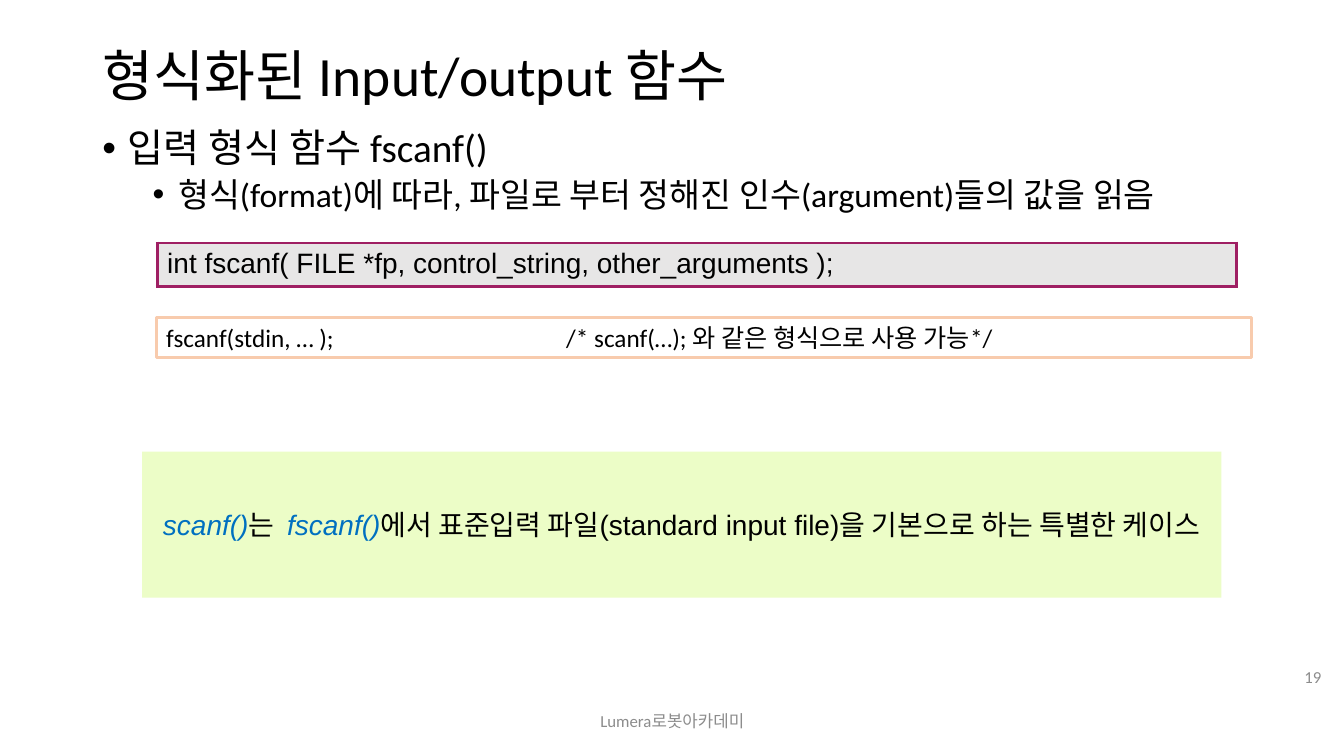
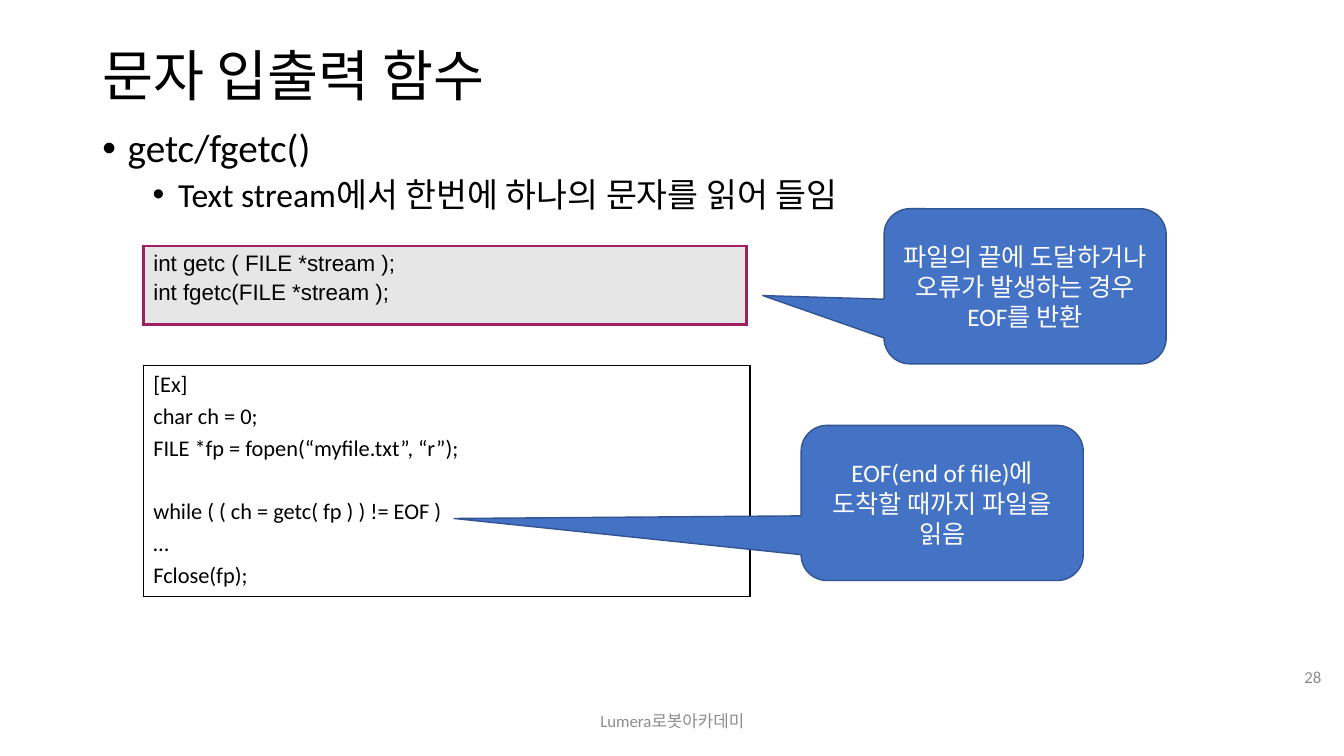
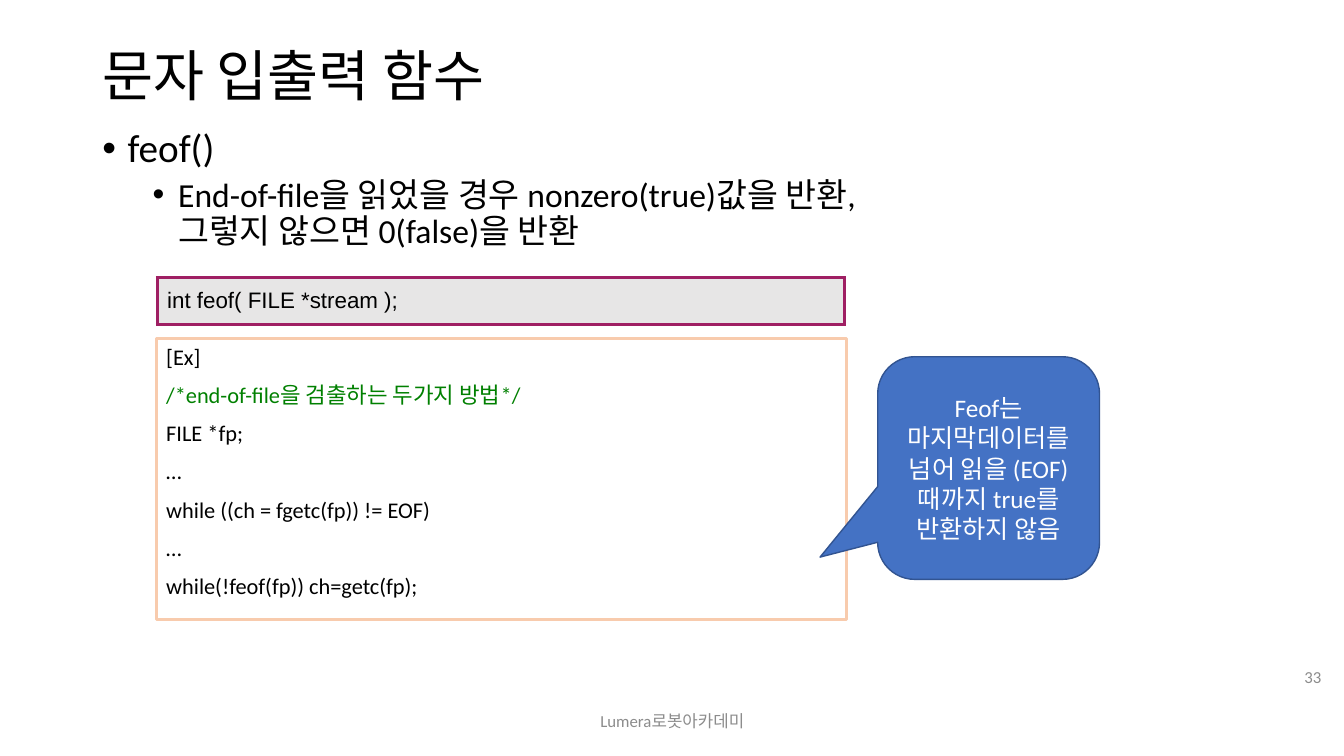
from lxml.etree import SubElement as Sub
from pptx import Presentation
from pptx.dml.color import RGBColor as RGB
from pptx.enum.shapes import MSO_SHAPE as SHAPE
from pptx.enum.text import MSO_ANCHOR as ANCHOR, MSO_AUTO_SIZE as AUTO, PP_ALIGN as ALIGN
from pptx.oxml.ns import qn
from pptx.util import Cm, Pt

INK = {
    "black": "000000", "grey": "8C8C8C", "white": "FFFFFF", "plum": "9F1F63",
    "ash": "E7E6E6", "peach": "F8CBAD", "lime": "ECFDC7", "link": "0070C0",
    "green": "008000", "blue": "4472C4", "navy": "325491",
}
FOOT = "Lumera로봇아카데미"


def add_para(frame, runs, size, ink="black", font="Calibri", align=ALIGN.LEFT, gap=0):
    """Add one paragraph; a run is a text or (text, colour, italic)."""
    par = frame.paragraphs[0]
    if par.runs:
        par = frame.add_paragraph()
    par.alignment = align
    par.space_before = Pt(gap)
    for item in [runs] if isinstance(runs, str) else runs:
        text, tint, slant = (item, ink, False) if isinstance(item, str) else item
        if text == "\n":
            par.add_line_break()
            continue
        run = par.add_run()
        run.text = text
        run.font.size = Pt(size)
        run.font.name = font
        run.font.italic = slant
        run.font.color.rgb = RGB.from_string(INK[tint])
    return par


def add_cell(slide, place, fill, edge, width):
    """Add a one-cell table with a border and return its cell."""
    table = slide.shapes.add_table(1, 1, *map(Cm, place)).table
    table.first_row = table.horz_banding = False
    cell = table.cell(0, 0)
    if fill:
        cell.fill.solid()
        cell.fill.fore_color.rgb = RGB.from_string(INK[fill])
    else:
        cell.fill.background()
    props = cell._tc.get_or_add_tcPr()
    for spot, side in enumerate(("lnL", "lnR", "lnT", "lnB")):
        line = props.makeelement(qn(f"a:{side}"), {"w": str(Pt(width))})
        Sub(Sub(line, qn("a:solidFill")), qn("a:srgbClr"), val=INK[edge])
        props.insert(spot, line)
    return cell


deck = Presentation()
deck.slide_width, deck.slide_height = Cm(33.87), Cm(19.05)

# Title, bullets, footer and page number
pages = [
    ("형식화된 Input/output 함수", "입력 형식 함수 fscanf()",
     "형식(format)에 따라, 파일로 부터 정해진 인수(argument)들의 값을 읽음", "19"),
    ("문자 입출력 함수", "getc/fgetc()",
     "Text stream에서 한번에 하나의 문자를 읽어 들임", "28"),
    ("문자 입출력 함수", "feof()",
     ["End-of-file을 읽었을 경우 nonzero(true)값을 반환,", "\n",
      "그렇지 않으면 0(false)을 반환"], "33"),
]
slides = []
for name, head, note, num in pages:
    slide = deck.slides.add_slide(deck.slide_layouts[5])
    slides.append(slide)
    title = slide.shapes.title
    title.left, title.top, title.width, title.height = map(Cm, (2.33, 1.02, 29.21, 1.9))
    title.text_frame.auto_size = AUTO.NONE
    title.text_frame.vertical_anchor = ANCHOR.MIDDLE
    add_para(title.text_frame, name, 39.6).line_spacing = 0.9

    body = slide.shapes.add_textbox(*map(Cm, (2.33, 3.12, 29.21, 14.05))).text_frame
    body.word_wrap = True
    for level, (text, size, gap, left) in enumerate([(head, 28, 10, 0.64), (note, 24, 5, 1.91)]):
        par = add_para(body, text, size, gap=gap)
        par.level = level
        par.line_spacing = 0.9
        props = par._p.get_or_add_pPr()
        props.set("marL", str(Cm(left)))
        props.set("indent", str(Cm(-0.64)))
        Sub(props, qn("a:buFont"), typeface="Arial")
        Sub(props, qn("a:buChar"), char="•")

    for text, place, align in [(FOOT, (11.23, 17.65, 11.43, 1.02), ALIGN.CENTER),
                               (num, (31.98, 16.54, 1.57, 1.02), ALIGN.RIGHT)]:
        frame = slide.shapes.add_textbox(*map(Cm, place)).text_frame
        frame.word_wrap = True
        frame.vertical_anchor = ANCHOR.MIDDLE
        add_para(frame, text, 12, "grey", align=align)
scan, getc, feof = slides

# Function prototypes
protos = [
    (scan, (3.96, 6.12, 27.2, 1.09), 20, ANCHOR.TOP,
     ["int fscanf( FILE *fp, control_string, other_arguments );"]),
    (getc, (3.61, 6.2, 15.21, 1.98), 16, ANCHOR.TOP,
     ["int getc ( FILE *stream );", "int fgetc(FILE *stream );"]),
    (feof, (3.96, 6.99, 17.32, 1.19), 16, ANCHOR.MIDDLE, ["int feof( FILE *stream );"]),
]
for slide, place, size, anchor, lines in protos:
    cell = add_cell(slide, place, "ash", "plum", 2.25)
    cell.vertical_anchor = anchor
    for text in lines:
        add_para(cell.text_frame, text, size, font="Arial", gap=size * 0.2)

# Example of getc
cell = add_cell(getc, (3.61, 9.22, 15.29, 5.82), None, "black", 1)
for text, gap in [("[Ex]", 3.2), ("char ch = 0;", 3.2),
                  ("FILE *fp = fopen(“myfile.txt”, “r”);", 3.2),
                  ("while ( ( ch = getc( fp ) ) != EOF )", 25.7),
                  ("…", 3.2), ("Fclose(fp);", 3.2)]:
    add_para(cell.text_frame, text, 16, gap=gap)

# Boxes with code and the closing remark
remark = [("scanf()", "link", True), "는  ", ("fscanf()", "link", True),
          "에서 표준입력 파일(standard input file)을 기본으로 하는 특별한 케이스"]
code = ["[Ex]", [("/*end-of-file을 검출하는 두가지 방법*/", "green", False)], "FILE *fp;", "…",
        "while ((ch = fgetc(fp)) != EOF)", "…", "while(!feof(fp)) ch=getc(fp);"]
usage = "fscanf(stdin, … );\t/* scanf(…); 와 같은 형식으로 사용 가능*/"
boxes = [
    (scan, (3.94, 8, 27.61, 1.02), "white", "peach", ANCHOR.TOP, [usage],
     dict(size=18, gap=3.6)),
    (scan, (3.58, 11.38, 27.2, 3.68), "lime", None, ANCHOR.MIDDLE, [remark],
     dict(size=20, font="Arial", align=ALIGN.CENTER)),
    (feof, (3.94, 8.53, 17.4, 7.09), "white", "peach", ANCHOR.TOP, code,
     dict(size=16, gap=8)),
]
for slide, place, fill, edge, anchor, lines, style in boxes:
    box = slide.shapes.add_shape(SHAPE.RECTANGLE, *map(Cm, place))
    box.shadow.inherit = False
    box.fill.solid()
    box.fill.fore_color.rgb = RGB.from_string(INK[fill])
    if edge:
        box.line.color.rgb = RGB.from_string(INK[edge])
        box.line.width = Pt(2.25)
    else:
        box.line.fill.background()
    box.text_frame.word_wrap = True
    box.text_frame.vertical_anchor = anchor
    for text in lines:
        par = add_para(box.text_frame, text, **style)
        if text == usage:
            tabs = Sub(par._p.get_or_add_pPr(), qn("a:tabLst"))
            Sub(tabs, qn("a:tab"), pos=str(Cm(10.08)), algn="l")

# Callouts
calls = [
    (getc, (22.28, 5.26, 7.11, 3.91), (-0.93, 0.06),
     "파일의 끝에 도달하거나 오류가 발생하는 경우 EOF를 반환"),
    (getc, (20.19, 10.72, 7.11, 3.91), (-1.73, 0.1),
     "EOF(end of file)에 도착할 때까지 파일을 읽음"),
    (feof, (22.12, 8.99, 5.59, 5.61), (-0.76, 0.4),
     "Feof는 마지막데이터를 넘어 읽을 (EOF) 때까지 true를 반환하지 않음"),
]
for slide, place, tip, text in calls:
    call = slide.shapes.add_shape(SHAPE.ROUNDED_RECTANGULAR_CALLOUT, *map(Cm, place))
    call.shadow.inherit = False
    call.adjustments[0], call.adjustments[1] = tip
    call.fill.solid()
    call.fill.fore_color.rgb = RGB.from_string(INK["blue"])
    call.line.color.rgb = RGB.from_string(INK["navy"])
    call.line.width = Pt(1)
    call.text_frame.word_wrap = True
    call.text_frame.vertical_anchor = ANCHOR.MIDDLE
    add_para(call.text_frame, text, 18, "white", align=ALIGN.CENTER)

deck.save("out.pptx")
